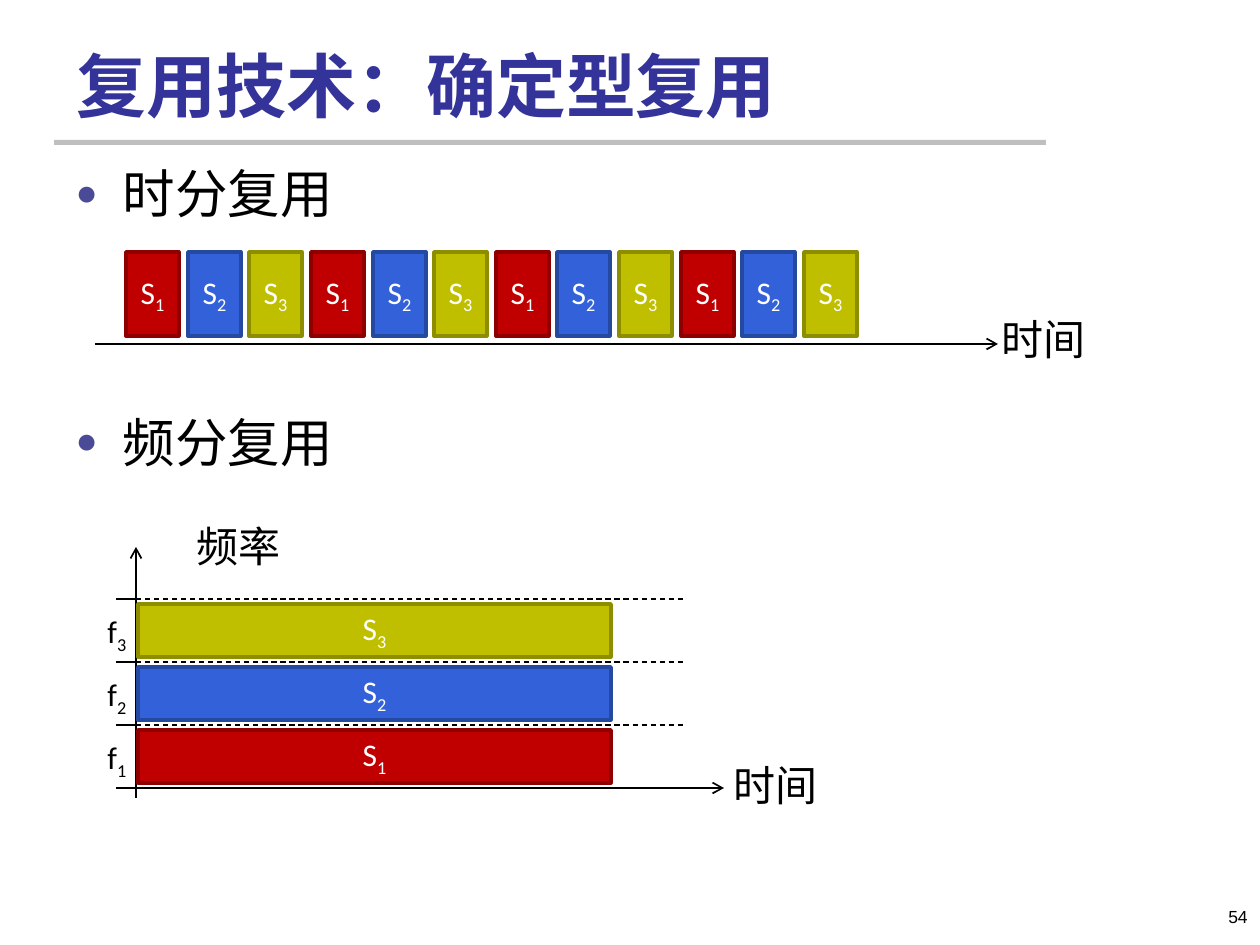
import pptx
import pptx.util
import pptx.dml.color
import pptx.enum.dml
import pptx.enum.shapes
import pptx.enum.text
import pptx.oxml
import pptx.oxml.ns
from lxml import etree

PX = 914400 / 126
ALIGN = pptx.enum.text.PP_ALIGN
ANCHOR = pptx.enum.text.MSO_ANCHOR
BLACK = "000000"

# Fill and outline of each signal
SIGNAL_COLORS = {1: ("C00000", "8E0000"), 2: ("3261DA", "2548A1"), 3: ("BFBF00", "8D8D00")}


def px(value):
    return pptx.util.Emu(round(value * PX))


def color(hex_text):
    return pptx.dml.color.RGBColor.from_string(hex_text)


def add_xml(parent, tag, **attributes):
    return etree.SubElement(parent, pptx.oxml.ns.qn(tag), attributes)


def write_text(paragraph, text, subscript="", size=18, font="Calibri", fill=BLACK,
               bold=False, align=ALIGN.LEFT):
    paragraph.alignment = align
    for part, baseline in ((text, None), (subscript, "-25000")):
        if not part:
            continue
        run = paragraph.add_run()
        run.text = part
        run.font.size = pptx.util.Pt(size)
        run.font.name = font
        run.font.bold = bold
        run.font.color.rgb = color(fill)
        if baseline:
            run.font._element.set("baseline", baseline)


def place(shape, left, top, width, height):
    shape.left, shape.top, shape.width, shape.height = map(px, (left, top, width, height))


def add_rectangle(slide, left, top, width, height, fill, line=None):
    shape = slide.shapes.add_shape(pptx.enum.shapes.MSO_SHAPE.RECTANGLE,
                                   px(left), px(top), px(width), px(height))
    shape.shadow.inherit = False
    shape.fill.solid()
    shape.fill.fore_color.rgb = color(fill)
    if line:
        shape.line.color.rgb = color(line)
        shape.line.width = pptx.util.Pt(2)
    else:
        shape.line.fill.background()
    return shape


def add_signal(slide, number, left, top, width, height):
    shape = add_rectangle(slide, left, top, width, height, *SIGNAL_COLORS[number])
    shape.text_frame.vertical_anchor = ANCHOR.MIDDLE
    write_text(shape.text_frame.paragraphs[0], "S", subscript=str(number),
               fill="FFFFFF", align=ALIGN.CENTER)


def add_label(slide, text, left, top, width, height, wrap=True, **text_format):
    frame = slide.shapes.add_textbox(px(left), px(top), px(width), px(height)).text_frame
    frame.word_wrap = wrap
    write_text(frame.paragraphs[0], text, **text_format)


def add_line(slide, start, end, width=1, arrow=False, dashed=False):
    line = slide.shapes.add_connector(pptx.enum.shapes.MSO_CONNECTOR.STRAIGHT,
                                      *map(px, (*start, *end)))
    line.line.color.rgb = color(BLACK)
    line.line.width = pptx.util.Pt(width)
    if dashed:
        line.line.dash_style = pptx.enum.dml.MSO_LINE.DASH
    if arrow:
        add_xml(line.line._get_or_add_ln(), "a:tailEnd", type="arrow")
    add_xml(line._element.spPr, "a:effectLst")


def fill_title(slide, text):
    title = slide.shapes.title
    place(title, 64, 35, 1040, 98)
    title.text_frame.auto_size = pptx.enum.text.MSO_AUTO_SIZE.NONE
    title.text_frame.vertical_anchor = ANCHOR.BOTTOM
    write_text(title.text_frame.paragraphs[0], text, size=40, fill="333399", bold=True)


def fill_body(slide, items, gap):
    body = slide.placeholders[1]
    place(body, 63, 155, 1134, 735)
    frame = body.text_frame
    frame.auto_size = pptx.enum.text.MSO_AUTO_SIZE.NONE
    for index, item in enumerate(items):
        paragraph = frame.add_paragraph() if index else frame.paragraphs[0]
        properties = paragraph._p.get_or_add_pPr()
        properties.set("marL", "342900")
        properties.set("indent", "-342900")
        add_xml(add_xml(properties, "a:buClr"), "a:srgbClr", val="4A4A97")
        add_xml(properties, "a:buSzPct", val="70000")
        add_xml(properties, "a:buChar", char="●")
        paragraph.space_before = pptx.util.Pt(gap if index else 0)
        write_text(paragraph, item, size=30)


def add_time_division(slide):
    block_count, first_left, last_left = 12, 126, 804
    add_line(slide, (95, 344), (998, 344), arrow=True)
    for index in range(block_count):
        left = first_left + round(index * (last_left - first_left) / (block_count - 1))
        add_signal(slide, index % 3 + 1, left, 252, 53, 84)
    add_label(slide, "时间", 981, 307, 126, 63, size=24, align=ALIGN.CENTER)


def add_frequency_division(slide):
    axis_x, time_y, band = 136, 788, 63

    # Axes and their names
    add_line(slide, (116, time_y), (724, time_y), arrow=True)
    add_label(slide, "时间", 713, 753, 126, 63, size=24, align=ALIGN.CENTER)
    add_line(slide, (axis_x, 798), (axis_x, 547), arrow=True)
    add_label(slide, "频率", 136, 514, 205, 63, size=24, align=ALIGN.CENTER)

    # One band for each signal, from the lowest frequency up
    for number in SIGNAL_COLORS:
        top = time_y - number * band
        add_line(slide, (116, top), (axis_x, top))
        add_line(slide, (axis_x, top), (683, top), width=0.75, dashed=True)
        add_signal(slide, number, 138, top + 5, 473, 53)
        add_label(slide, "f", 95, top + 7, 45, 50, wrap=False, subscript=str(number))


def main():
    presentation = pptx.Presentation()
    presentation.slide_width, presentation.slide_height = px(1260), px(945)
    slide = presentation.slides.add_slide(presentation.slide_layouts[1])

    # Heading, rule, list and page number
    add_rectangle(slide, 54, 140, 992, 5, "BFBFBF")
    fill_title(slide, "复用技术：确定型复用")
    fill_body(slide, ["时分复用", "频分复用"], gap=106)
    add_label(slide, "54", 966, 900, 294, 63, size=10, font="Arial", align=ALIGN.RIGHT)

    # Diagrams
    add_time_division(slide)
    add_frequency_division(slide)
    presentation.save("out.pptx")


if __name__ == "__main__":
    main()
